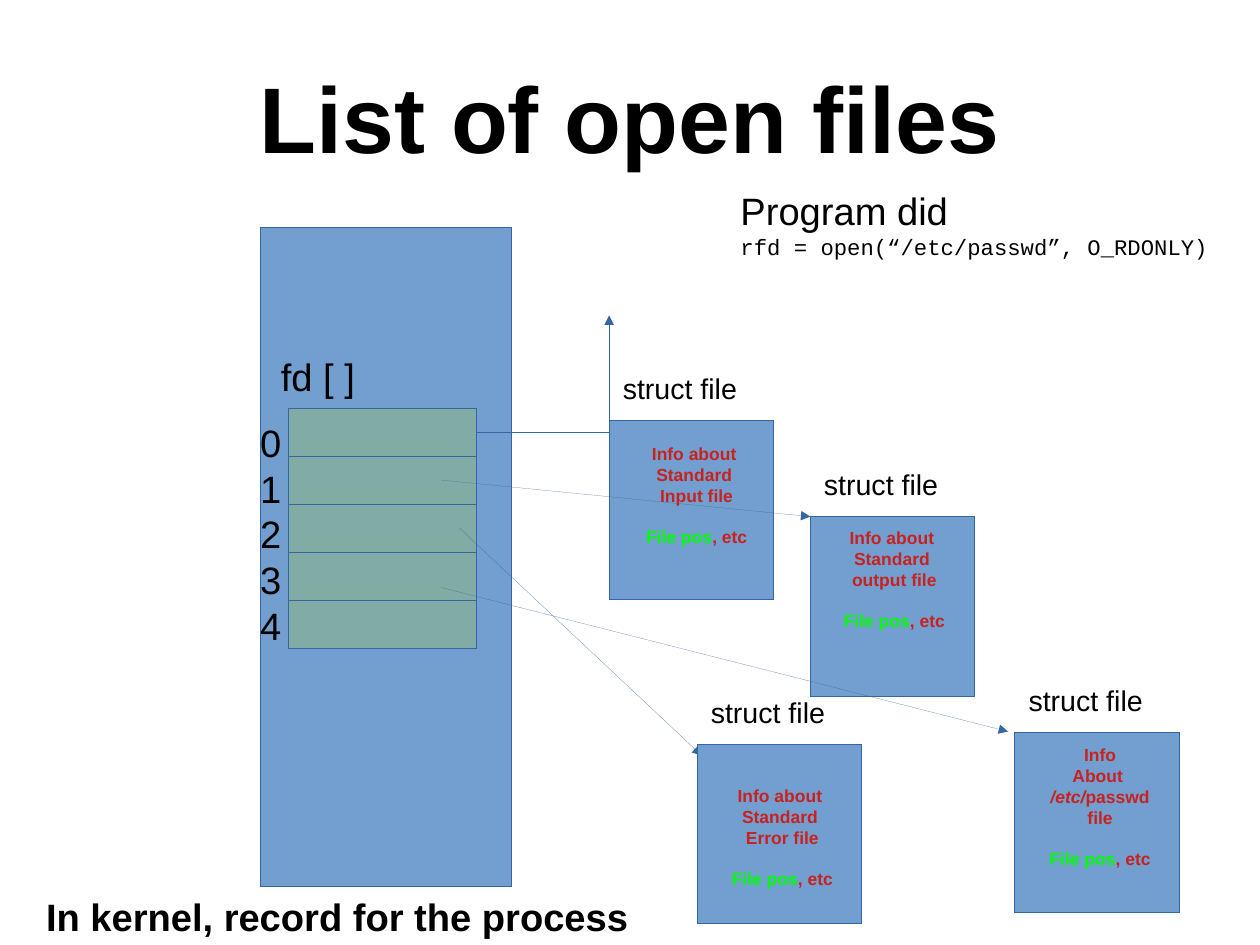
from pptx import Presentation
from pptx.dml.color import RGBColor
from pptx.enum.shapes import MSO_CONNECTOR as Link, MSO_SHAPE as Shape
from pptx.enum.text import MSO_ANCHOR as Anchor, PP_ALIGN as Align
from pptx.oxml.ns import qn
from pptx.util import Cm, Inches, Pt
from lxml.etree import SubElement

BLUE = RGBColor(0x72, 0x9F, 0xCF)
TEAL = RGBColor(0x81, 0xAC, 0xA6)
EDGE = RGBColor(0x34, 0x65, 0xA4)
RED = RGBColor(0xC9, 0x21, 0x1E)
GREEN = RGBColor(0x00, 0xFF, 0x00)
BLACK = RGBColor(0, 0, 0)

TITLE = "List of open files"
RECORD = "In kernel, record for the process"
CALL = ["Program did", "rfd = open(“/etc/passwd”, O_RDONLY)"]
SLOTS = ["0", "1", "2", "3", "4"]
# box left, box top, info inset from left, info inset from top, info lines
FILES = [
    (5.33, 3.68, 0.22, 0.15, ["Info about ", "Standard ", "Input file"]),
    (7.09, 4.52, 0.19, 0.04, ["Info about ", "Standard ", "output file"]),
    (8.88, 6.41, 0.20, 0.05, ["Info", "About ", "/etc/|passwd ", "file"]),
    (6.10, 6.51, 0.20, 0.31, ["Info about ", "Standard ", "Error file"]),
]
STATE = "File pos|, etc"
ARROWS = [
    (3.86, 4.20, 7.09, 4.52),
    (4.02, 4.62, 6.14, 6.61),
    (3.86, 5.14, 8.82, 6.40),
]
CELL_X, CELL_Y, CELL_W, CELL_H = 2.52, 3.57, 1.65, 0.42
FILE_W, FILE_H = 1.44, 1.57

deck = Presentation()
deck.slide_width, deck.slide_height = Cm(28), Cm(21)
slide = deck.slides.add_slide(deck.slide_layouts[6])
shapes = slide.shapes


def hairline(shape):
    """Give the thinnest outline; the width setter would drop a zero."""
    shape.line.color.rgb = EDGE
    outline = shape._element.spPr.find(qn("a:ln"))
    outline.set("w", "0")
    return outline


def rect(x, y, w, h, color):
    box = shapes.add_shape(Shape.RECTANGLE, *map(Inches, (x, y, w, h)))
    box.shadow.inherit = False
    box.fill.solid()
    box.fill.fore_color.rgb = color
    hairline(box)


def arrow(x1, y1, x2, y2, kind=Link.STRAIGHT):
    line = shapes.add_connector(kind, *map(Inches, (x1, y1, x2, y2)))
    SubElement(hairline(line), qn("a:tailEnd"), type="triangle")
    SubElement(line._element.spPr, qn("a:effectLst"))
    return line


def text(x, y, w, h, lines, size, align=Align.LEFT, bold=False,
         color=BLACK, wrap=True):
    """Add a text box; a bar in a line splits it into two runs."""
    frame = shapes.add_textbox(*map(Inches, (x, y, w, h))).text_frame
    frame.word_wrap = wrap
    for i, line in enumerate(lines):
        para = frame.paragraphs[0] if i == 0 else frame.add_paragraph()
        para.alignment = align
        font = para.font
        font.name, font.size, font.bold = "Arial", Pt(size), bold
        font.color.rgb = color
        for part in line.split("|"):
            para.add_run().text = part
    return frame


def file_box(x, y):
    rect(x, y, FILE_W, FILE_H, BLUE)
    text(x + 0.02, y - 0.48, 1.42, 0.84, ["struct file"], 18)


def info(x, y, lines):
    frame = text(x, y, 1.09, 1.27, lines + [STATE], 11, Align.CENTER,
                 True, RED, wrap=False)
    for para in frame.paragraphs:
        if para.text.startswith("/etc/"):
            para.runs[0].font.italic = True
    last = frame.paragraphs[-1]
    last.space_before = Pt(12.65)
    last.runs[0].font.color.rgb = GREEN


head = text(0.55, 0.33, 9.92, 1.38, [TITLE], 58.7, Align.CENTER, True)
head.vertical_anchor = Anchor.MIDDLE
head.margin_left = head.margin_right = head.margin_top = head.margin_bottom = 0

rect(2.28, 1.99, 2.2, 5.77, BLUE)
for i in range(len(SLOTS)):
    rect(CELL_X, CELL_Y + i * CELL_H, CELL_W, CELL_H, TEAL)
text(2.36, 3.04, 0.87, 0.51, ["fd [ ]"], 24)
text(1.85, 3.62, 0.71, 2, SLOTS, 24, Align.RIGHT)

bent = arrow(CELL_X + CELL_W, CELL_Y + CELL_H / 2, 5.33, 2.76, Link.ELBOW)
bent._element.spPr.find(qn("a:prstGeom")).set("prst", "bentConnector2")

# The last box covers the tip of its arrow.
*front, cover = FILES
for x, y, *_ in front:
    file_box(x, y)
for ends in ARROWS:
    arrow(*ends)
file_box(*cover[:2])
for x, y, dx, dy, lines in FILES:
    info(x + dx, y + dy, lines)

text(-0.08, 7.77, 6.06, 0.47, [RECORD], 24, Align.CENTER, True)
code = text(6.38, 1.59, 4.57, 1.62, CALL, 24).paragraphs[1].font
code.name, code.size = "Courier New", Pt(14)

deck.save("out.pptx")
